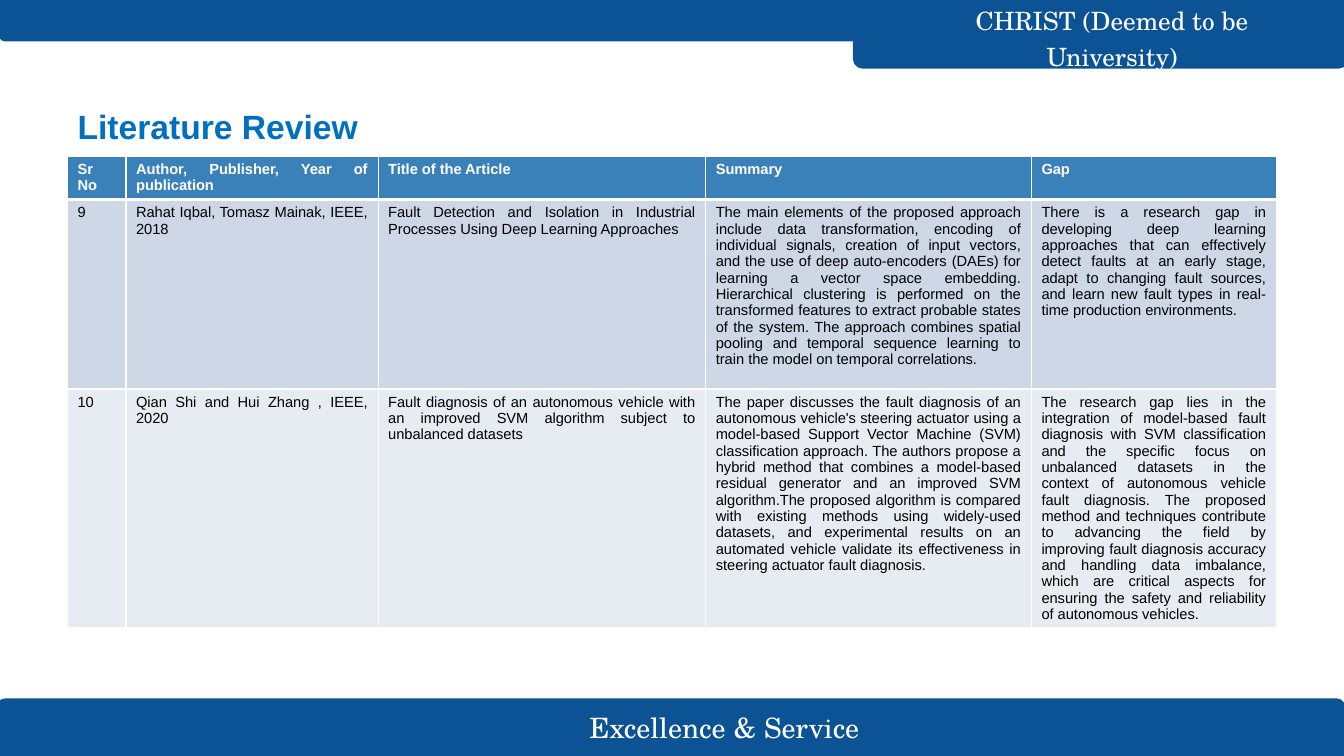
from pptx import Presentation
from pptx.dml.color import RGBColor as Rgb
from pptx.enum.shapes import MSO_SHAPE as Shape
from pptx.enum.text import MSO_ANCHOR as Anchor, MSO_AUTO_SIZE as Fit, PP_ALIGN as Align
from pptx.oxml import parse_xml
from pptx.oxml.ns import nsdecls
from pptx.util import Inches, Pt

HUES = {
    "bar": "0B5394",
    "title": "0070C0",
    "head": "3A81BA",
    "odd": "CDD7E6",
    "even": "E7ECF3",
    "white": "FFFFFF",
    "black": "000000",
}
SERIF = "TeX Gyre Schola"
BARS = [
    (-0.02, 6.94, 13.35, 0.56, 0),
    (0, 0, 13.35, 0.4, 180),
    (8.47, 0, 4.89, 0.67, 180),
]
COLS = [0.58, 2.5, 3.25, 3.23, 2.43]
ROWS = [0.43, 1.88, 2.36]
BANDS = ["head", "odd", "even"]
PAPERS = [
    ["Sr No", "Author, Publisher, Year of publication", "Title of the Article", "Summary", "Gap"],
    [
        "9",
        "Rahat Iqbal, Tomasz Mainak, IEEE, 2018",
        "Fault Detection and Isolation in Industrial Processes Using Deep Learning Approaches",
        "The main elements of the proposed approach include data transformation, encoding of "
        "individual signals, creation of input vectors, and the use of deep auto-encoders (DAEs) "
        "for learning a vector space embedding. Hierarchical clustering is performed on the "
        "transformed features to extract probable states of the system. The approach combines "
        "spatial pooling and temporal sequence learning to train the model on temporal "
        "correlations.",
        "There is a research gap in developing deep learning approaches that can effectively "
        "detect faults at an early stage, adapt to changing fault sources, and learn new fault "
        "types in real-time production environments.",
    ],
    [
        "10",
        "Qian Shi and Hui Zhang , IEEE, 2020",
        "Fault diagnosis of an autonomous vehicle with an improved SVM algorithm subject to "
        "unbalanced datasets",
        "The paper discusses the fault diagnosis of an autonomous vehicle's steering actuator "
        "using a model-based Support Vector Machine (SVM) classification approach. The authors "
        "propose a hybrid method that combines a model-based residual generator and an improved "
        "SVM algorithm.The proposed algorithm is compared with existing methods using "
        "widely-used datasets, and experimental results on an automated vehicle validate its "
        "effectiveness in steering actuator fault diagnosis.",
        "The research gap lies in the integration of model-based fault diagnosis with SVM "
        "classification and the specific focus on unbalanced datasets in the context of "
        "autonomous vehicle fault diagnosis. The proposed method and techniques contribute to "
        "advancing the field by improving fault diagnosis accuracy and handling data imbalance, "
        "which are critical aspects for ensuring the safety and reliability of autonomous "
        "vehicles.",
    ],
]


def write(frame, text, size=10.5, font="Arial", hue="white", bold=False,
          align=Align.LEFT, space=None):
    para = frame.paragraphs[0]
    para.alignment = align
    para.line_spacing = space
    run = para.add_run()
    run.text = text
    run.font.size = Pt(size)
    run.font.name = font
    run.font.bold = bold
    run.font.color.rgb = Rgb.from_string(HUES[hue])


def edge(cell, side, width):
    """Draw one white cell border; side is L, R, T or B. Call before filling the cell."""
    cell._tc.get_or_add_tcPr().append(parse_xml(
        f'<a:ln{side} {nsdecls("a")} w="{Pt(width)}"><a:solidFill>'
        f'<a:srgbClr val="{HUES["white"]}"/></a:solidFill></a:ln{side}>'))


class Page:
    def __init__(self, slide):
        self.slide = slide
        self.shapes = slide.shapes

    def frame(self, shape, anchor):
        """Set the shared insets and wrapping and return the text frame."""
        frame = shape.text_frame
        frame.word_wrap = True
        frame.auto_size = Fit.NONE
        frame.vertical_anchor = anchor
        frame.margin_left = frame.margin_right = Inches(0.1)
        frame.margin_top = frame.margin_bottom = Inches(0.1)
        return frame

    def bar(self, left, top, width, height, turn):
        bar = self.shapes.add_shape(Shape.ROUND_2_SAME_RECTANGLE, Inches(left), Inches(top),
                                    Inches(width), Inches(height))
        bar.adjustments[0] = 0.125
        bar.rotation = turn
        bar.shadow.inherit = False
        bar.fill.solid()
        bar.fill.fore_color.rgb = bar.line.color.rgb = Rgb.from_string(HUES["bar"])
        bar.line.width = Pt(1.5)

    def label(self, text, left, top, width, height, **style):
        box = self.shapes.add_textbox(Inches(left), Inches(top), Inches(width), Inches(height))
        write(self.frame(box, Anchor.MIDDLE), text, font=SERIF, align=Align.CENTER, **style)

    def title(self, text, left, top, width, height):
        title = self.shapes.title
        title.left, title.top = Inches(left), Inches(top)
        title.width, title.height = Inches(width), Inches(height)
        write(self.frame(title, Anchor.BOTTOM), text, size=24, hue="title", bold=True)

    def table(self, data, left, top):
        table = self.shapes.add_table(len(ROWS), len(COLS), Inches(left), Inches(top),
                                      Inches(sum(COLS)), Inches(sum(ROWS))).table
        table.horz_banding = False
        for col, width in zip(table.columns, COLS):
            col.width = Inches(width)
        for r, (row, height) in enumerate(zip(table.rows, ROWS)):
            row.height = Inches(height)
            head = r == 0
            for cell, text in zip(row.cells, data[r]):
                for side in "LRTB":
                    thick = (r, side) in [(0, "B"), (1, "T")]
                    edge(cell, side, 3 if thick else 1)
                cell.fill.solid()
                cell.fill.fore_color.rgb = Rgb.from_string(HUES[BANDS[r]])
                cell.margin_left = cell.margin_right = Inches(0.1)
                cell.margin_top = cell.margin_bottom = Inches(0.05)
                write(cell.text_frame, text, hue="white" if head else "black",
                      bold=head, align=Align.JUSTIFY)


def main():
    deck = Presentation()
    deck.slide_width, deck.slide_height = Inches(13.33), Inches(7.5)
    page = Page(deck.slides.add_slide(deck.slide_layouts[5]))
    for bar in BARS:
        page.bar(*bar)
    page.label("Excellence & Service", 4.3, 7.06, 5.77, 0.32, size=20)
    page.label("CHRIST (Deemed to be University)", 8.95, 0.15, 4.16, 0.4, size=18, space=1.2)
    page.table(PAPERS, 0.67, 1.55)
    page.title("Literature Review", 0.67, 0.67, 12, 0.88)
    deck.save("out.pptx")


if __name__ == "__main__":
    main()
